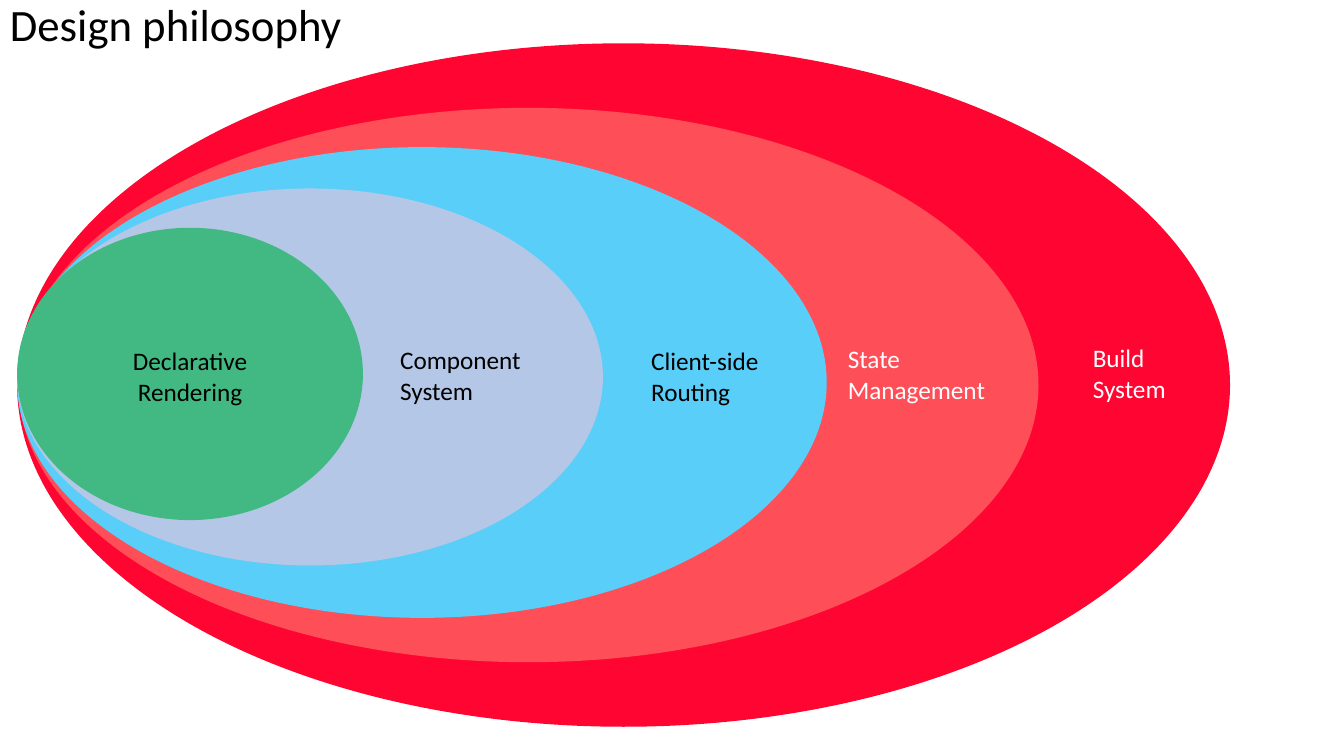
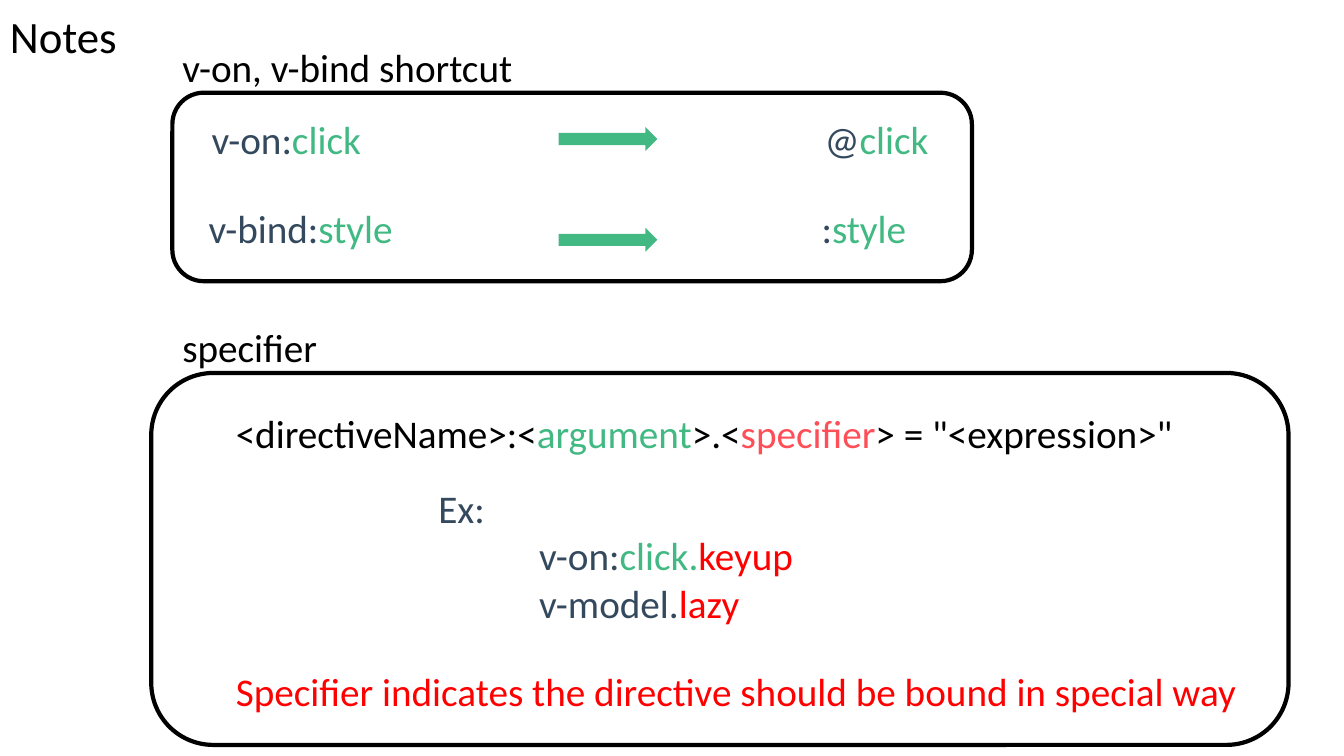
import dataclasses
import pptx
import pptx.dml.color
import pptx.enum.shapes
import pptx.enum.text
import pptx.util

Inches = pptx.util.Inches
Shapes = pptx.enum.shapes.MSO_SHAPE
Align = pptx.enum.text.PP_ALIGN
Anchor = pptx.enum.text.MSO_ANCHOR


@dataclasses.dataclass(frozen=True)
class Theme:
    font: str = "Calibri"
    black: str = "000000"
    white: str = "FFFFFF"
    slate: str = "34495E"
    green: str = "42B983"
    lavender: str = "B4C7E7"
    sky: str = "59CEF9"
    coral: str = "FE4E57"
    crimson: str = "FE0631"
    red: str = "FF0000"
    title_size: int = 32
    body_size: int = 28
    label_size: int = 18
    outline: int = 3


THEME = Theme()


def rgb(colour):
    return pptx.dml.color.RGBColor.from_string(colour)


def add_text(slide, box, lines, size=THEME.body_size, align=Align.LEFT,
             anchor=Anchor.TOP, wrap=True, spacing=1.0, indents=()):
    frame = slide.shapes.add_textbox(*map(Inches, box)).text_frame
    frame.word_wrap = wrap
    frame.vertical_anchor = anchor
    for index, line in enumerate(lines):
        paragraph = frame.paragraphs[0] if index == 0 else frame.add_paragraph()
        paragraph.alignment = align
        paragraph.line_spacing = spacing
        if index < len(indents):
            paragraph._p.get_or_add_pPr().set("marL", str(Inches(indents[index])))
        for words, colour in line:
            run = paragraph.add_run()
            run.text = words
            run.font.name = THEME.font
            run.font.size = pptx.util.Pt(size)
            run.font.color.rgb = rgb(colour)


def add_filled(slide, kind, box, colour):
    shape = slide.shapes.add_shape(kind, *map(Inches, box))
    shape.shadow.inherit = False
    shape.fill.solid()
    shape.fill.fore_color.rgb = rgb(colour)
    shape.line.fill.background()


def add_title(slide, words, width, height):
    add_text(slide, (0, 0, width, height), [[(words, THEME.black)]],
             size=THEME.title_size, anchor=Anchor.MIDDLE, spacing=0.9)


def add_layer(slide, box, fill, label, offset, colour, align=Align.LEFT):
    left, top, width, height = box
    add_filled(slide, Shapes.FLOWCHART_CONNECTOR, box, fill)
    label_box = (left + offset[0], top + offset[1], 1.61, 0.71)
    add_text(slide, label_box, [[(words, colour)] for words in label],
             size=THEME.label_size, align=align)


def add_panel(slide, box, heading, heading_inset, heading_width):
    left, top, width, height = box
    frame = slide.shapes.add_shape(Shapes.ROUNDED_RECTANGLE, *map(Inches, box))
    frame.shadow.inherit = False
    frame.fill.background()
    frame.line.color.rgb = rgb(THEME.black)
    frame.line.width = pptx.util.Pt(THEME.outline)
    add_text(slide, (left + heading_inset, top - 0.54, heading_width, 0.57),
             [[(heading, THEME.black)]], wrap=False)


def add_shortcuts(slide, box):
    left, top, width, height = box
    add_panel(slide, box, "v-on, v-bind shortcut", 0, 3.56)
    shortcuts = [("v-on:", "@", "click"), ("v-bind:", ":", "style")]
    for row, (directive, symbol, argument) in enumerate(shortcuts):
        text_left = left + 0.29 - 0.03 * row
        text_top = top + 0.17 + 0.89 * row
        for prefix, shift in ((directive, 0), (symbol, 6.08)):
            add_text(slide, (text_left + shift, text_top, 2.3, 0.57),
                     [[(prefix, THEME.slate), (argument, THEME.green)]])
        add_filled(slide, Shapes.RIGHT_ARROW,
                   (left + 3.83, top + 0.34 + row, 0.98, 0.24), THEME.green)


def add_specifier(slide, box):
    left, top, width, height = box
    add_panel(slide, box, "specifier", 0.21, 1.55)
    syntax = [("<directiveName>:<", THEME.black), ("argument", THEME.green),
              (">.<", THEME.black), ("specifier", THEME.coral),
              ("> = \"<expression>\"", THEME.black)]
    examples = [
        [("Ex:", THEME.slate)],
        [("v-on:", THEME.slate), ("click.", THEME.green), ("keyup", THEME.red)],
        [("v-model.", THEME.slate), ("lazy", THEME.red)],
    ]
    meaning = "Specifier indicates the directive should be bound in special way"
    add_text(slide, (left + 0.74, top + 0.31, 9.83, 0.57), [syntax])
    add_text(slide, (left + 2.75, top + 1.06, 4.93, 1.5), examples, indents=(0, 1, 1))
    add_text(slide, (left + 0.74, top + 2.87, 10.48, 0.57), [[(meaning, THEME.red)]])


def build_philosophy(slide):
    add_layer(slide, (0.17, 0.43, 12.03, 6.78), THEME.crimson,
              ("Build", "System"), (10.57, 2.92), THEME.white)
    add_layer(slide, (0.18, 1.07, 10.12, 5.5), THEME.coral,
              ("State", "Management"), (8.13, 2.29), THEME.white)
    add_layer(slide, (0.17, 1.46, 8.03, 4.67), THEME.sky,
              ("Client-side", "Routing"), (6.19, 1.92), THEME.black)
    add_layer(slide, (0.17, 1.87, 5.81, 3.74), THEME.lavender,
              ("Component", "System"), (3.7, 1.5), THEME.black)
    add_layer(slide, (0.17, 2.26, 3.43, 2.9), THEME.green,
              ("Declarative", "Rendering"), (0.91, 1.12), THEME.black, Align.CENTER)
    add_title(slide, "Design philosophy", 4.64, 0.54)


def build_notes(slide):
    add_shortcuts(slide, (1.71, 0.92, 7.93, 1.87))
    add_specifier(slide, (1.5, 3.7, 11.28, 3.69))
    add_title(slide, "Notes", 3.26, 0.78)


def main():
    deck = pptx.Presentation()
    deck.slide_width = Inches(13.33)
    deck.slide_height = Inches(7.5)
    for build in (build_philosophy, build_notes):
        build(deck.slides.add_slide(deck.slide_layouts[6]))
    deck.save("out.pptx")


if __name__ == "__main__":
    main()
